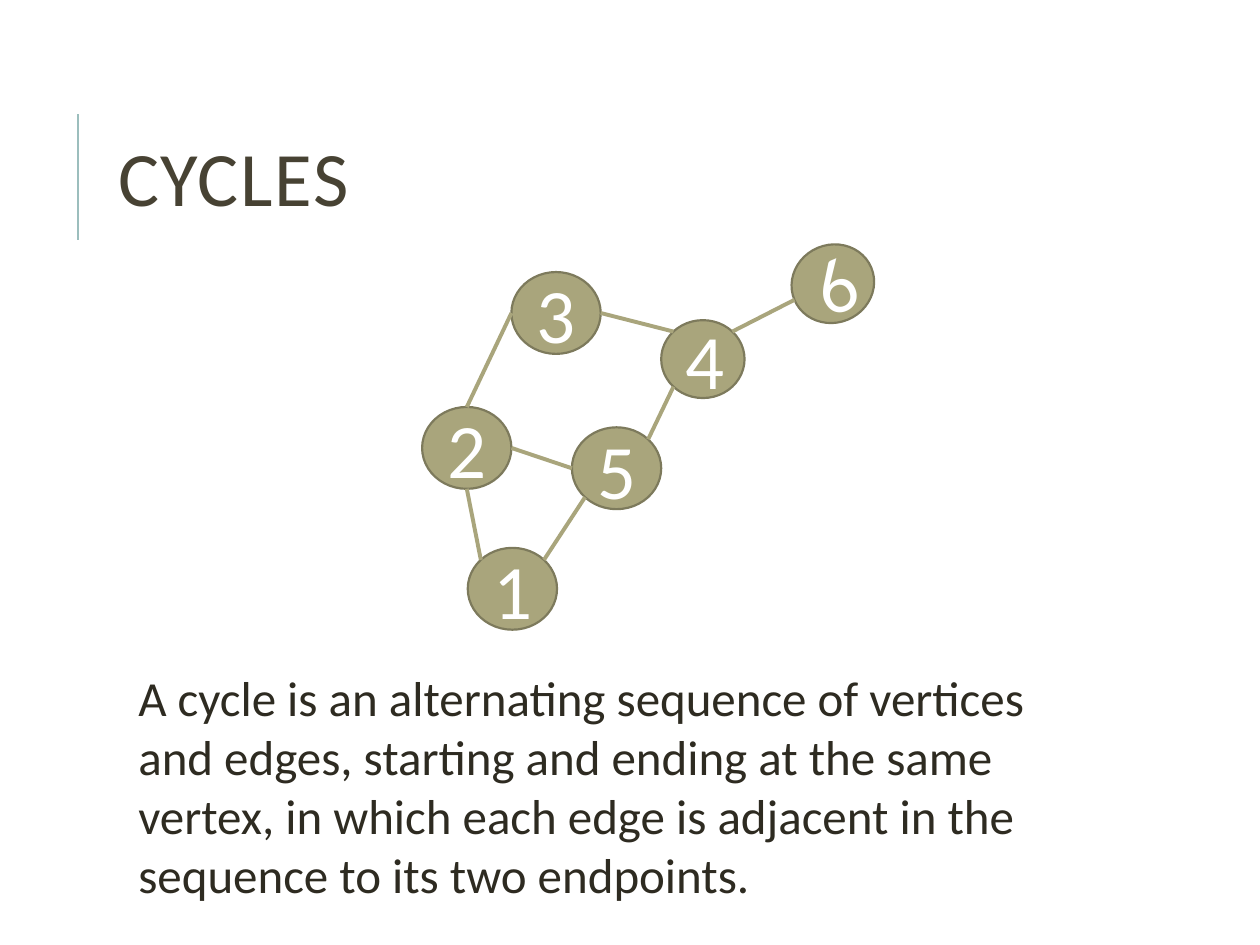
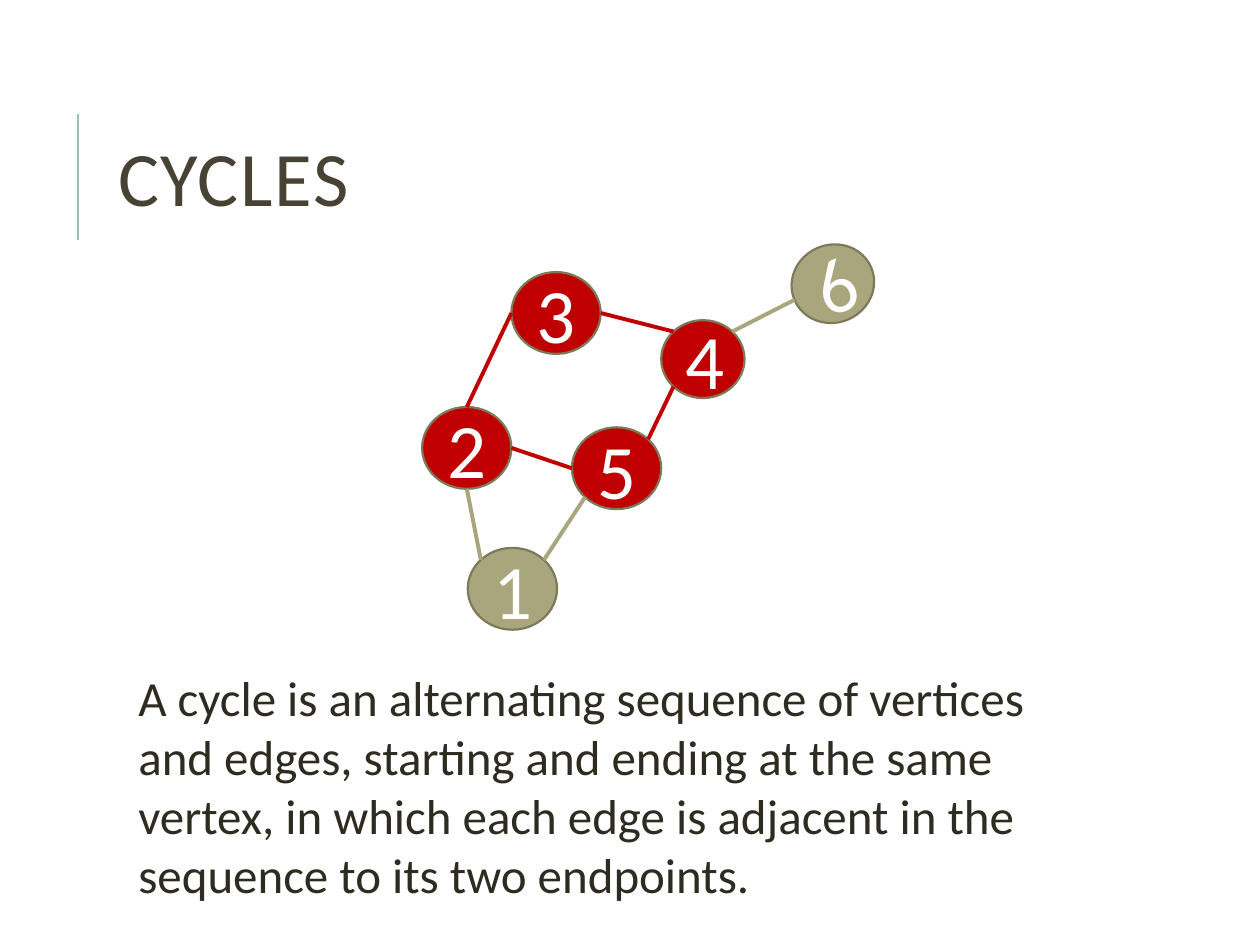
from math import cos, radians, sin

from lxml.etree import SubElement
from pptx import Presentation
from pptx.dml.color import RGBColor
from pptx.enum.shapes import MSO_CONNECTOR, MSO_SHAPE
from pptx.enum.text import MSO_ANCHOR, MSO_AUTO_SIZE, PP_ALIGN
from pptx.oxml.ns import qn
from pptx.util import Cm, Pt

# Content
TITLE = "CYCLES"
DEFINITION = (
    "A cycle is an alternating sequence of vertices and edges, starting and "
    "ending at the same vertex, in which each edge is adjacent in the "
    "sequence to its two endpoints."
)
LARGE, SMALL = (1.8, 1.65), (1.68, 1.57)
# Vertex: centre x, centre y, (width, height), rotation
VERTICES = {
    "6": (16.79, 5.72, SMALL, -22.7),
    "4": (14.17, 7.24, SMALL, 0),
    "3": (11.21, 6.31, LARGE, 0),
    "5": (12.43, 9.44, LARGE, 0),
    "1": (10.33, 11.87, LARGE, 0),
    "2": (9.41, 9.03, LARGE, 0),
}
# An ellipse has eight connection sites, counter-clockwise from the top
TOP, TOP_LEFT, LEFT, BOTTOM_LEFT, BOTTOM, BOTTOM_RIGHT, RIGHT, TOP_RIGHT = range(8)
EDGES = [
    ("3", RIGHT, "4", TOP_LEFT),
    ("4", TOP_RIGHT, "6", LEFT),
    ("5", TOP_RIGHT, "4", BOTTOM_LEFT),
    ("2", RIGHT, "5", LEFT),
    ("3", LEFT, "2", TOP),
    ("5", BOTTOM_LEFT, "1", TOP_RIGHT),
    ("2", BOTTOM, "1", TOP_LEFT),
]
HIGHLIGHTED_CYCLES = ["", "2345"]  # one slide each

# Shared style
FONT = "Calibri"
COLORS = {
    "title": "474233",
    "body": "2E2B21",
    "accent": "9CBEBD",
    "graph": "A9A57C",
    "outline": "7D7A5C",
    "cycle": "C00000",
    "digit": "FFFFFF",
}


def rgb(name):
    return RGBColor.from_string(COLORS[name])


def style_text(paragraph, size, color):
    paragraph.font.name = FONT
    paragraph.font.size = Pt(size)
    paragraph.font.color.rgb = rgb(color)


def add_line(shapes, start, end, color, width):
    line = shapes.add_connector(
        MSO_CONNECTOR.STRAIGHT, *(Cm(value) for value in (*start, *end)))
    line.line.color.rgb = rgb(color)
    line.line.width = Pt(width)
    SubElement(line._element.spPr, qn("a:effectLst"))
    return line


def add_heading(slide):
    add_line(slide.shapes, (1.57, 4.83), (1.57, 2.29), "accent", 1.5)
    title = slide.shapes.title
    title.left, title.top, title.width, title.height = (
        Cm(2.13), Cm(1.63), Cm(20.24), Cm(4.17))
    frame = title.text_frame
    frame.text = TITLE
    frame.auto_size = MSO_AUTO_SIZE.NONE
    frame.vertical_anchor = MSO_ANCHOR.MIDDLE
    heading = frame.paragraphs[0]
    heading.alignment = PP_ALIGN.LEFT
    heading.line_spacing = 0.8
    style_text(heading, 44, "title")
    heading.runs[0].font._element.set("spc", "100")  # letter spacing, 1 pt


def add_definition(slide):
    frame = slide.shapes.add_textbox(
        Cm(2.54), Cm(13.34), Cm(19.76), Cm(3.05)).text_frame
    frame.word_wrap = True
    frame.text = DEFINITION
    frame.paragraphs[0].space_before = Pt(6)
    style_text(frame.paragraphs[0], 28, "body")


def add_vertex(shapes, label, color):
    x, y, (width, height), rotation = VERTICES[label]
    vertex = shapes.add_shape(
        MSO_SHAPE.OVAL, Cm(x - width / 2), Cm(y - height / 2), Cm(width), Cm(height))
    vertex.rotation = rotation
    vertex.shadow.inherit = False
    vertex.fill.solid()
    vertex.fill.fore_color.rgb = rgb(color)
    vertex.line.color.rgb = rgb("outline")
    vertex.line.width = Pt(1.25)
    frame = vertex.text_frame
    frame.text = label
    frame.vertical_anchor = MSO_ANCHOR.MIDDLE
    frame.paragraphs[0].alignment = PP_ALIGN.CENTER
    style_text(frame.paragraphs[0], 44, "digit")
    return vertex


def site_position(label, site):
    x, y, (width, height), rotation = VERTICES[label]
    angle, turn = radians(45 * site), radians(rotation)
    dx, dy = -width / 2 * sin(angle), -height / 2 * cos(angle)
    return (x + dx * cos(turn) - dy * sin(turn),
            y + dx * sin(turn) + dy * cos(turn))


def add_graph(slide, cycle):
    shapes = slide.shapes.add_group_shape().shapes

    def color_of(*labels):
        return "cycle" if all(label in cycle for label in labels) else "graph"

    vertices = {label: add_vertex(shapes, label, color_of(label)) for label in VERTICES}
    for start, start_site, end, end_site in EDGES:
        edge = add_line(shapes, site_position(start, start_site),
                        site_position(end, end_site), color_of(start, end), 2.25)
        # begin_connect knows only four sites, so glue to the ellipse in XML
        joints = edge._element.find(".//" + qn("p:cNvCxnSpPr"))
        for tag, label, site in (("a:stCxn", start, start_site),
                                 ("a:endCxn", end, end_site)):
            SubElement(joints, qn(tag), id=str(vertices[label].shape_id), idx=str(site))


def main():
    deck = Presentation()
    deck.slide_width, deck.slide_height = Cm(25.4), Cm(19.05)
    title_only = deck.slide_layouts[5]
    for cycle in HIGHLIGHTED_CYCLES:
        slide = deck.slides.add_slide(title_only)
        add_heading(slide)
        add_definition(slide)
        add_graph(slide, cycle)
    deck.save("out.pptx")


if __name__ == "__main__":
    main()
